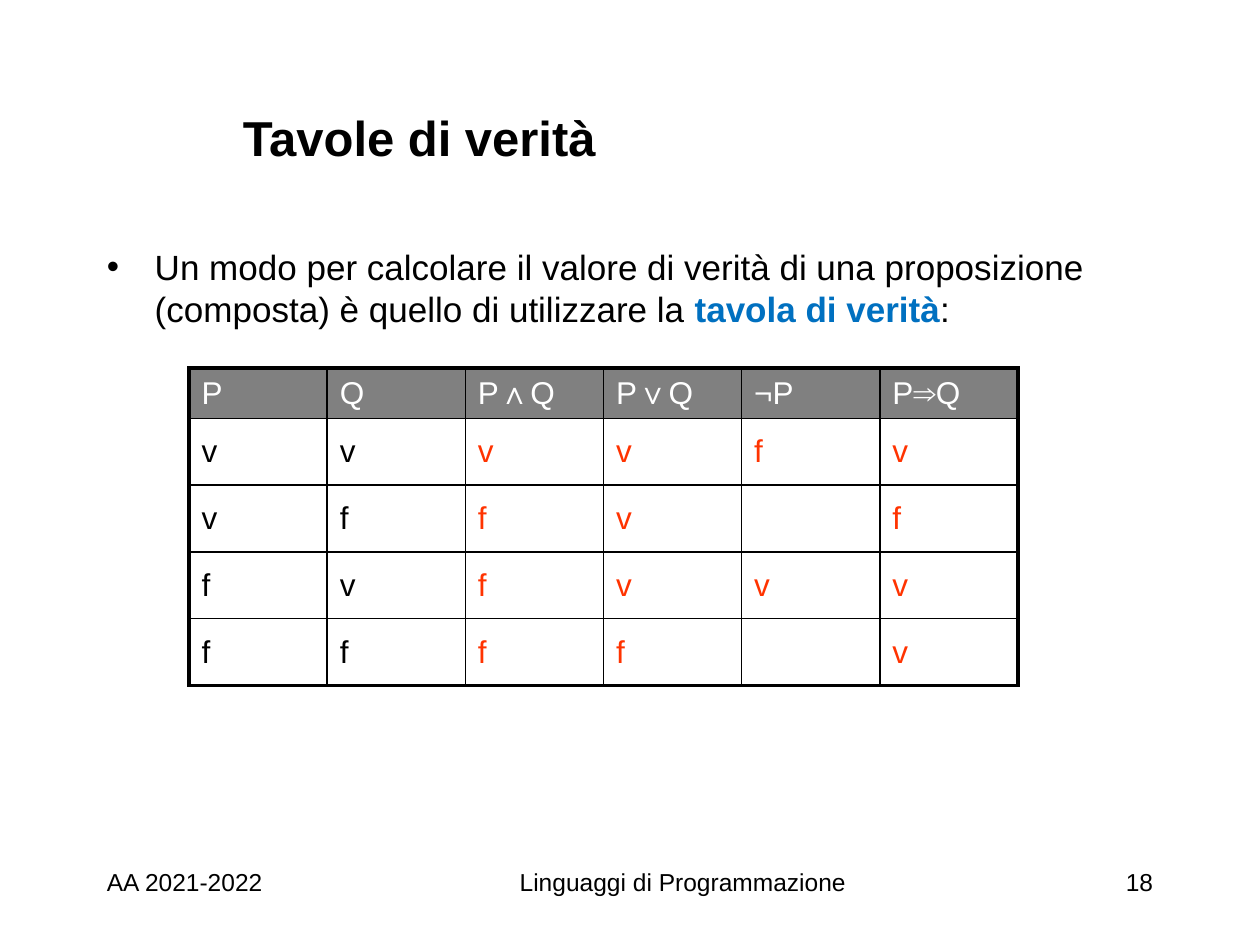
from pptx import Presentation
from pptx.dml.color import RGBColor
from pptx.enum.text import MSO_ANCHOR as Anchor, PP_ALIGN as Align
from pptx.oxml import parse_xml
from pptx.oxml.ns import nsdecls
from pptx.util import Inches, Pt

COLORS = {
    "text": "000000",
    "term": "0070C0",
    "result": "FF3300",
    "header_text": "FFFFFF",
    "header_fill": "808080",
    "border": "000000",
}
FONT = "Arial"
HEADINGS = ["P", "Q", "P∧Q", "P∨Q", "¬P", "P⇒Q"]
TRUTH_ROWS = [
    ["v", "v", "v", "v", "f", "v"],
    ["v", "f", "f", "v", "", "f"],
    ["f", "v", "f", "v", "v", "v"],
    ["f", "f", "f", "f", "", "v"],
]
INPUT_COLUMNS = 2


def format_span(span, size, color="text", bold=False):
    span.font.name = FONT
    span.font.size = Pt(size)
    span.font.bold = bold
    span.font.color.rgb = RGBColor.from_string(COLORS[color])


def add_space_before(para):
    """Put 20% of a line above the paragraph."""
    para._p.get_or_add_pPr().append(parse_xml(
        f'<a:spcBef {nsdecls("a")}><a:spcPct val="20000"/></a:spcBef>'))


def add_bullet(para, indent):
    properties = para._p.get_or_add_pPr()
    properties.set("marL", str(indent))
    properties.set("indent", str(-indent))
    properties.append(parse_xml(f'<a:buFont {nsdecls("a")} typeface="{FONT}"/>'))
    properties.append(parse_xml(f'<a:buChar {nsdecls("a")} char="•"/>'))


def add_text(page, bounds, spans, size, align=Align.LEFT, anchor=Anchor.TOP):
    """Add one paragraph made of (text, color, bold) spans and return it."""
    box = page.shapes.add_textbox(*map(Inches, bounds))
    frame = box.text_frame
    frame.word_wrap = True
    frame.vertical_anchor = anchor
    para = frame.paragraphs[0]
    para.alignment = align
    for text, color, bold in spans:
        span = para.add_run()
        span.text = text
        format_span(span, size, color, bold)
    return para


def set_borders(cell, widths):
    """Draw the cell's sides; widths maps L, R, T, B to points."""
    properties = cell._tc.get_or_add_tcPr()
    for index, side in enumerate("LRTB"):
        properties.insert(index, parse_xml(
            f'<a:ln{side} {nsdecls("a")} w="{Pt(widths[side])}"><a:solidFill>'
            f'<a:srgbClr val="{COLORS["border"]}"/></a:solidFill></a:ln{side}>'))


def fill_cell(cell, text, color, header):
    cell.vertical_anchor = Anchor.MIDDLE
    if header:
        cell.fill.solid()
        cell.fill.fore_color.rgb = RGBColor.from_string(COLORS["header_fill"])
    else:
        cell.fill.background()
    if text:
        para = cell.text_frame.paragraphs[0]
        para.text = text
        add_space_before(para)
        format_span(para.runs[0], 18, color)


def add_truth_table(page):
    rows = [HEADINGS] + TRUTH_ROWS
    last_row, last_column = len(rows) - 1, len(HEADINGS) - 1
    table = page.shapes.add_table(
        len(rows), len(HEADINGS),
        Inches(1.5), Inches(2.92), Inches(6.58), Inches(2.5)).table
    table.horz_banding = False
    table.first_row = False
    for column in table.columns:
        column.width = Inches(6.58 / len(HEADINGS))
    for r, texts in enumerate(rows):
        header = r == 0
        table.rows[r].height = Inches(0.38 if header else 0.53)
        for c, text in enumerate(texts):
            if header:
                color = "header_text"
            else:
                color = "text" if c < INPUT_COLUMNS else "result"
            cell = table.cell(r, c)
            fill_cell(cell, text, color, header)
            outer = {"L": c == 0, "R": c == last_column,
                     "T": header, "B": r == last_row}
            set_borders(cell, {side: 2.25 if edge else 1
                               for side, edge in outer.items()})


def add_footer(page):
    for left, width, text, align in [
        (0.75, 2.5, "AA 2021-2022", Align.LEFT),
        (3.17, 4.5, "Linguaggi di Programmazione", Align.CENTER),
        (7.25, 2, "18", Align.RIGHT),
    ]:
        add_text(page, (left, 6.83, width, 0.5), [(text, "text", False)], 14, align)


def main():
    deck = Presentation()
    deck.slide_width, deck.slide_height = Inches(10), Inches(7.5)
    page = deck.slides.add_slide(deck.slide_layouts[6])

    add_footer(page)
    add_text(page, (1.83, 0.67, 7.42, 0.83),
             [("Tavole di verità", "text", True)], 28, anchor=Anchor.MIDDLE)
    intro = add_text(page, (0.75, 1.9, 8.5, 4.37), [
        ("Un modo per calcolare il valore di verità di una proposizione "
         "(composta) è quello di utilizzare la ", "text", False),
        ("tavola di verità", "term", True),
        (":", "text", False),
    ], 20)
    add_space_before(intro)
    add_bullet(intro, Inches(0.38))
    add_truth_table(page)

    deck.save("out.pptx")


if __name__ == "__main__":
    main()
